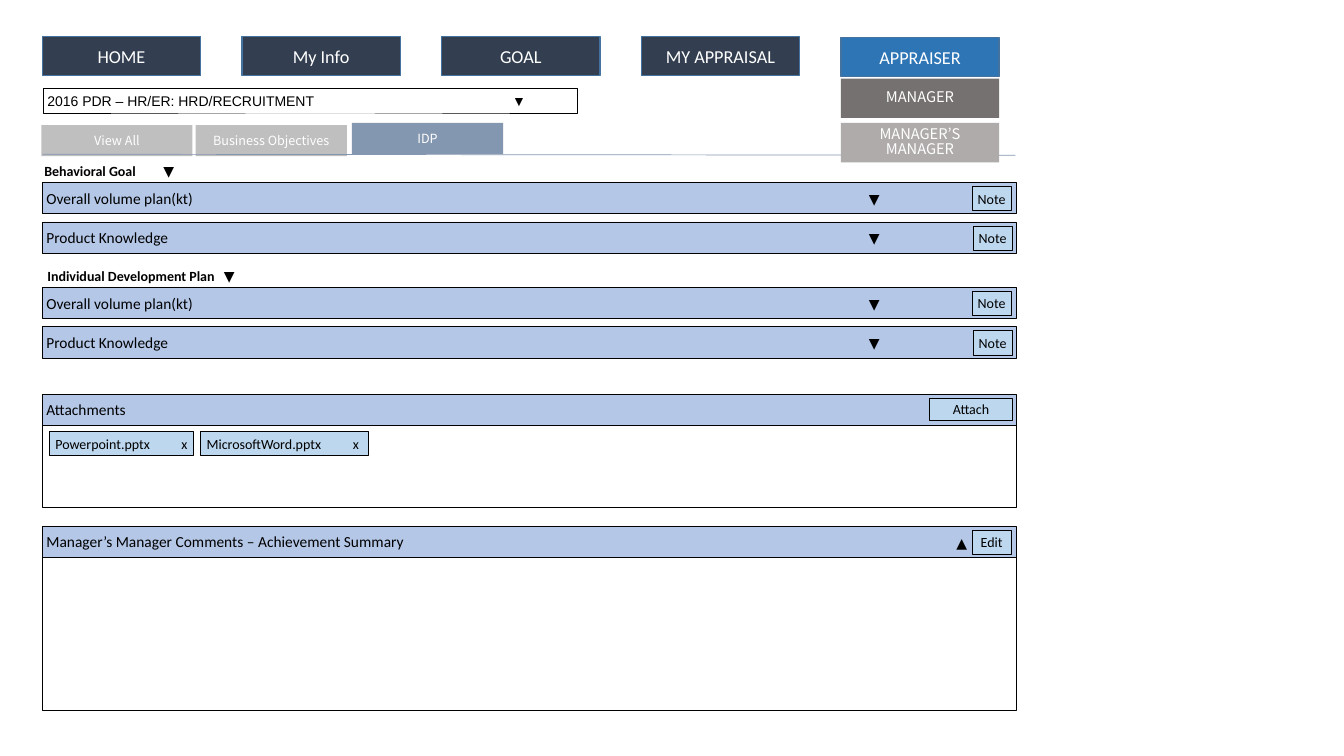
from lxml.etree import SubElement
from pptx import Presentation
from pptx.dml.color import RGBColor
from pptx.enum.shapes import MSO_CONNECTOR, MSO_SHAPE
from pptx.enum.text import MSO_ANCHOR, PP_ALIGN
from pptx.oxml.ns import qn
from pptx.util import Inches, Pt

NAVY, BLUE, EDGE, BAR, BUTTON = "333F50", "2E75B6", "43739E", "B4C7E7", "BDD7EE"
GREY, SLATE, DARK, MID = "BFBFBF", "8497B0", "767171", "AFABAB"
BLACK, WHITE = "000000", "FFFFFF"
MENU = {"name": "Calibri", "size": Pt(13)}
BODY = {"name": "Calibri", "size": Pt(11)}
SMALL = {"name": "Calibri", "size": Pt(10)}
HEADING = {**SMALL, "bold": True}
SELECT = {"name": "Arial", "size": Pt(10)}
TAB = {"name": "Noto Sans CJK KR", "size": Pt(9)}
ROLE = {"name": "Noto Sans CJK KR", "size": Pt(10.5)}
LEFT, CENTER = PP_ALIGN.LEFT, PP_ALIGN.CENTER

prs = Presentation()
prs.slide_width, prs.slide_height = Inches(13.33), Inches(7.5)
s = prs.slides.add_slide(prs.slide_layouts[6])


def rgb(value):
    return RGBColor.from_string(value)


def box(x, y, w, h, text="", style=SMALL, fill=None, line=None, weight=0.25,
        color=BLACK, align=CENTER, inset=0.04, tab=0):
    """Draw a box; text after a tab character starts at `tab` inches, not bold."""
    at = [Inches(v) for v in (x, y, w, h)]
    if fill or line:
        sp = s.shapes.add_shape(MSO_SHAPE.RECTANGLE, *at)
        sp.shadow.inherit = False
    else:
        sp = s.shapes.add_textbox(*at)
    if fill:
        sp.fill.solid()
        sp.fill.fore_color.rgb = rgb(fill)
    else:
        sp.fill.background()
    if line:
        sp.line.color.rgb = rgb(line)
        sp.line.width = Pt(weight)
    else:
        sp.line.fill.background()
    tf = sp.text_frame
    layout = {"word_wrap": True, "vertical_anchor": MSO_ANCHOR.MIDDLE,
              "margin_left": Inches(inset), "margin_right": Inches(inset),
              "margin_top": 0, "margin_bottom": 0}
    for key, value in layout.items():
        setattr(tf, key, value)
    p = tf.paragraphs[0]
    p.alignment = align
    if tab:
        stops = SubElement(p._p.get_or_add_pPr(), qn("a:tabLst"))
        SubElement(stops, qn("a:tab"), pos=str(Inches(tab)), algn="l")
    label, gap, mark = text.partition("\t")
    for part, extra in ((label + gap, {}), (mark, {"bold": False})):
        if part:
            r = p.add_run()
            r.text = part
            for key, value in {**style, **extra}.items():
                setattr(r.font, key, value)
            r.font.color.rgb = rgb(color)
    return sp


X, W, BAR_H = 0.42, 9.66, 0.31
MENU_W, MENU_H, MENU_STEP = 1.57, 0.39, 1.98
NOTE_X, NOTE_W, NOTE_H = 9.64, 0.39, 0.24
ARROW_W, ARROW_H = 0.24, 0.27
ROLE_X = X + 4 * MENU_STEP

# Main menu
for i, name in enumerate(["HOME", "My Info", "GOAL", "MY APPRAISAL", "APPRAISER"]):
    box(X + i * MENU_STEP, 0.37 if i == 4 else 0.36, MENU_W, MENU_H, name, MENU,
        BLUE if i == 4 else NAVY, EDGE, 1, WHITE)

# Form selector and tabs
box(0.43, 0.88, 5.29, 0.24, "2016 PDR – HR/ER: HRD/RECRUITMENT\t▼", SELECT,
    line=BLACK, align=LEFT, tab=4.61)
for x, y, name, fill in [(0.41, 1.24, "View All", GREY),
                         (1.94, 1.24, "Business Objectives", GREY),
                         (3.49, 1.22, "IDP", SLATE)]:
    box(x, y, 1.5, BAR_H, name, TAB, fill, color=WHITE)
rule = s.shapes.add_connector(MSO_CONNECTOR.STRAIGHT, Inches(X), Inches(1.53),
                              Inches(10.07), Inches(1.54))
rule.line.color.rgb = rgb(SLATE)
rule.line.width = Pt(0.5)
SubElement(rule._element.spPr, qn("a:effectLst"))

# Appraiser roles
for y, name, fill in [(0.78, "MANAGER", DARK), (1.22, "MANAGER’S MANAGER", MID)]:
    sp = box(ROLE_X, y, MENU_W, MENU_H, name, ROLE, fill, color=WHITE, inset=0.1)
    sp.text_frame.paragraphs[0].line_spacing = 0.85

# Goal sections
for top, heading, inset, tab in [(1.81, "Behavioral Goal\t▼", 0.02, 1.18),
                                 (2.85, "Individual Development Plan\t▼", 0.05, 1.75)]:
    box(X, top - 0.22, 3.23, 0.21, heading, HEADING, align=LEFT, inset=inset, tab=tab)
    for i, goal in enumerate(["Overall volume plan(kt)", "Product Knowledge"]):
        y = top + i * 0.39
        box(X, y, W, BAR_H, goal, BODY, BAR, BLACK, align=LEFT)
        box(NOTE_X + i * 0.01, y + 0.04, NOTE_W, NOTE_H, "Note", SMALL, BUTTON, BLACK)
        box(8.55, y + 0.03, ARROW_W, ARROW_H, "▼", inset=0)

# Attachments and comments panels
for top, title, body_h in [(3.91, "Attachments", 0.82),
                           (5.22, "Manager’s Manager Comments – Achievement Summary", 1.53)]:
    box(X, top + 0.3, W, body_h, line=BLACK)
    box(X, top, W, BAR_H, title, BODY, BAR, BLACK, align=LEFT)
box(9.22, 3.95, 0.82, 0.22, "Attach", SMALL, BUTTON, BLACK)
for x, w, name, tab in [(0.49, 1.43, "Powerpoint.pptx\tx", 1.25),
                        (1.99, 1.66, "MicrosoftWord.pptx\tx", 1.45)]:
    box(x, 4.28, w, NOTE_H, name, SMALL, BUTTON, BLACK, align=LEFT, inset=0.06, tab=tab)
box(NOTE_X, 5.26, NOTE_W, NOTE_H, "Edit", SMALL, BUTTON, BLACK)
box(9.42, 5.25, ARROW_W, ARROW_H, "▲", inset=0)

prs.save("out.pptx")
